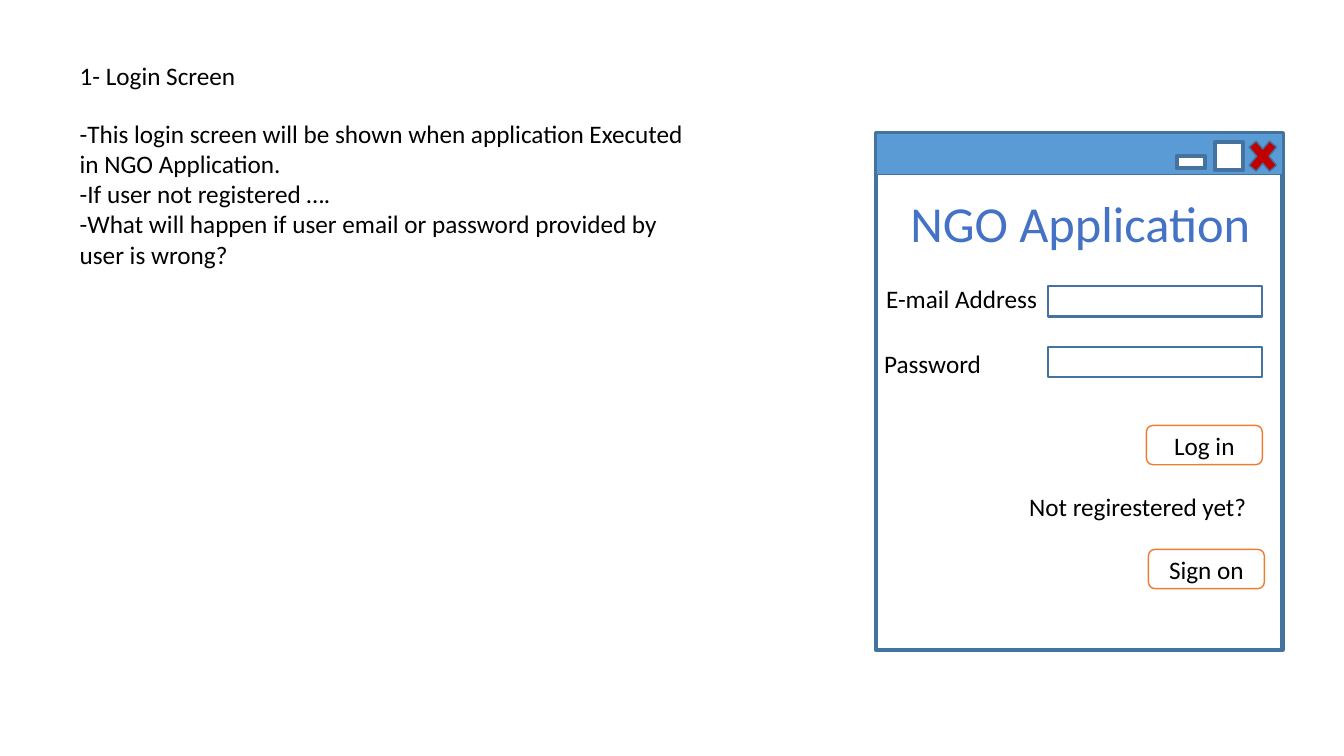
from dataclasses import dataclass

from lxml import etree
from pptx import Presentation
from pptx.dml.color import RGBColor
from pptx.enum.shapes import MSO_SHAPE
from pptx.enum.text import MSO_ANCHOR, MSO_AUTO_SIZE, PP_ALIGN
from pptx.oxml.ns import qn
from pptx.util import Inches, Pt

RECTANGLE = MSO_SHAPE.RECTANGLE
PROCESS = MSO_SHAPE.FLOWCHART_PROCESS
ROUNDED = MSO_SHAPE.ROUNDED_RECTANGLE
CROSS = MSO_SHAPE.MATH_MULTIPLY
LEFT, CENTER, RIGHT = PP_ALIGN.LEFT, PP_ALIGN.CENTER, PP_ALIGN.RIGHT
TOP, MIDDLE = MSO_ANCHOR.TOP, MSO_ANCHOR.MIDDLE
NO_AUTOFIT = MSO_AUTO_SIZE.NONE


@dataclass(frozen=True)
class Theme:
    font: str = "Calibri"
    text: str = "000000"
    heading: str = "4472C4"
    frame: str = "43739E"
    title_bar: str = "5B9BD5"
    close: str = "C00000"
    button: str = "ED7D31"
    white: str = "FFFFFF"
    body_size: int = 18
    heading_size: int = 36


THEME = Theme()


def color(value):
    return RGBColor.from_string(value)


def write(box, *lines, size=THEME.body_size, ink=THEME.text, align=LEFT,
          anchor=TOP, wrap=True):
    """Fill a shape with one unbulleted paragraph per line."""
    frame = box.text_frame
    frame.auto_size = NO_AUTOFIT
    frame.word_wrap = wrap
    frame.vertical_anchor = anchor
    for index, line in enumerate(lines):
        para = frame.paragraphs[0] if index == 0 else frame.add_paragraph()
        properties = para._p.get_or_add_pPr()
        properties.set("marL", "0")
        properties.set("indent", "0")
        etree.SubElement(properties, qn("a:buNone"))
        para.alignment = align
        para.line_spacing = 1.0
        para.space_before = para.space_after = Pt(0)
        span = para.add_run()
        span.text = line
        span.font.name = THEME.font
        span.font.size = Pt(size)
        span.font.color.rgb = color(ink)


def place(box, left, top, width, height):
    box.left, box.top = Inches(left), Inches(top)
    box.width, box.height = Inches(width), Inches(height)


def add_block(parent, kind, left, top, width, height, fill=THEME.white,
              line=THEME.frame, weight=1):
    block = parent.shapes.add_shape(
        kind, Inches(left), Inches(top), Inches(width), Inches(height))
    block.shadow.inherit = False
    if fill:
        block.fill.solid()
        block.fill.fore_color.rgb = color(fill)
    else:
        block.fill.background()
    block.line.color.rgb = color(line)
    block.line.width = Pt(weight)
    return block


def add_label(parent, text, left, top, width, height=0.4, **style):
    label = parent.shapes.add_textbox(
        Inches(left), Inches(top), Inches(width), Inches(height))
    write(label, text, **style)


def add_button(parent, text, left, top):
    button = add_block(parent, ROUNDED, left, top, 1.15, 0.39,
                       line=THEME.button)
    write(button, text, align=CENTER, anchor=MIDDLE)


def add_window(parent):
    left, top, width = 8.69, 1.32, 4.03
    add_block(parent, RECTANGLE, left, top, width, 5.13, fill=None, weight=3)
    add_block(parent, RECTANGLE, left, top, width, 0.41, fill=THEME.title_bar)
    add_block(parent, CROSS, 12.33, top, 0.39, 0.46, fill=THEME.close)
    add_block(parent, PROCESS, 12.05, 1.41, 0.28, 0.28, weight=3)
    add_block(parent, PROCESS, 11.67, 1.55, 0.28, 0.12, weight=3)


def add_login_form(parent):
    for field_top in (2.84, 3.44):
        add_block(parent, PROCESS, 10.39, field_top, 2.13, 0.3, weight=1.5)
    add_label(parent, "E-mail Address", 8.69, 2.76, 1.83)
    add_label(parent, "Password", 8.67, 3.41, 1.35)
    add_label(parent, "NGO Application", 8.91, 1.86, 3.61, 0.71,
              size=THEME.heading_size, ink=THEME.heading, align=CENTER,
              wrap=False)
    add_button(parent, "Log in", 11.37, 4.22)
    add_label(parent, "Not regirestered yet?", 8.91, 4.83, 3.55, align=RIGHT)
    add_button(parent, "Sign on", 11.39, 5.45)


def main():
    deck = Presentation()
    deck.slide_width, deck.slide_height = Inches(13.33), Inches(7.5)
    page = deck.slides.add_slide(deck.slide_layouts[1])
    title, notes = page.placeholders
    place(title, 0.69, 0.55, 6.35, 0.4)
    write(title, "1- Login Screen")
    place(notes, 0.69, 1.12, 6.35, 1.62)
    write(
        notes,
        "-This login screen will be shown when application Executed in NGO Application.",
        "-If user not registered ….",
        "-What will happen if user email or password provided by user is wrong?",
    )
    mockup = page.shapes.add_group_shape()
    add_window(mockup)
    add_login_form(mockup)
    deck.save("out.pptx")


if __name__ == "__main__":
    main()
